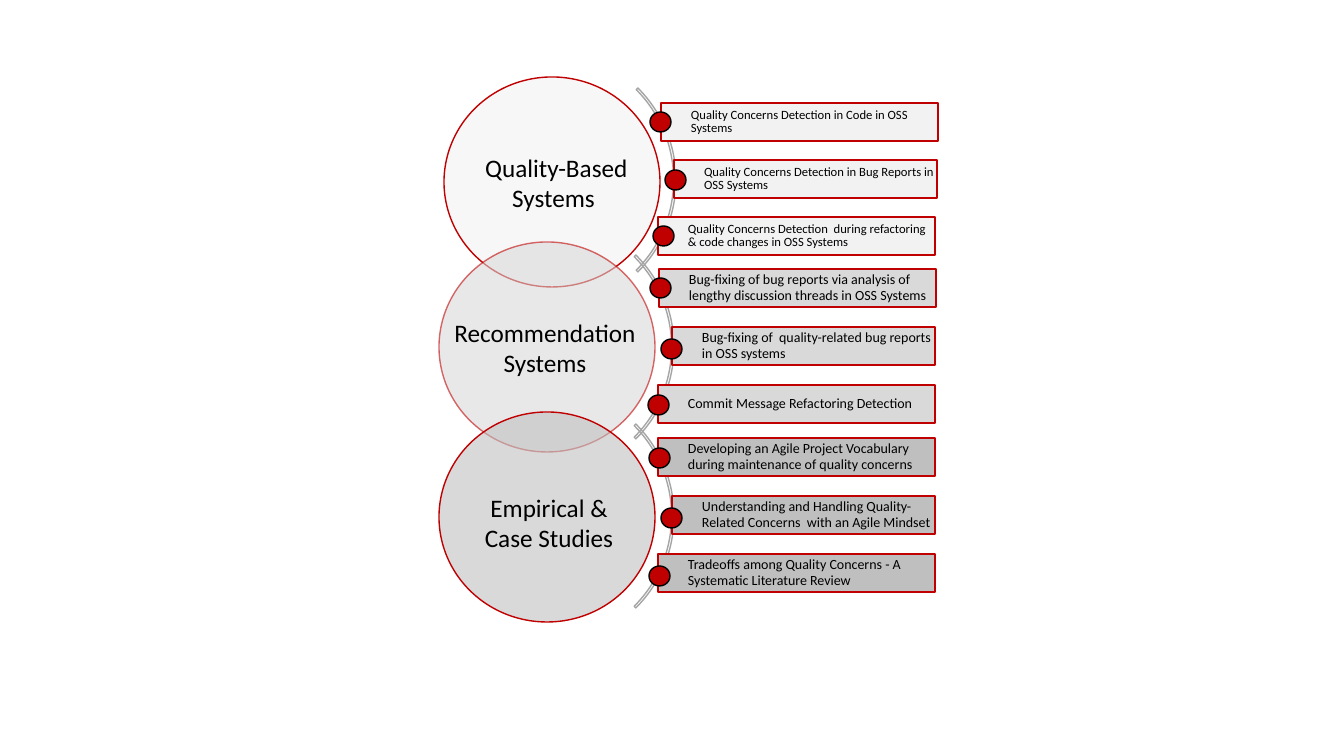
import pptx
import pptx.dml.color
import pptx.enum.shapes
import pptx.enum.text
import pptx.oxml
import pptx.oxml.ns
import pptx.util

SHAPES = pptx.enum.shapes.MSO_SHAPE
ALIGN = pptx.enum.text.PP_ALIGN
ANCHOR = pptx.enum.text.MSO_ANCHOR
EMU_PER_PX = 914400 / 100.8
FONT = "Calibri"
RED = "C00000"
BLACK = "000000"
ARC_GRAY = "A5A5A5"
CIRCLE_SIZE = (216, 210)
ARC_SIZE = 260
BAR_RIGHT = 935
BAR_HEIGHT = 38
DOT_SIZE = (21, 20)

THEMES = [
    {
        "label": [" Quality-Based", "Systems"],
        "label_box": (469, 147, 169, 72),
        "circle": (444, 77), "circle_color": "F2F2F2", "line_opacity": 100,
        "arc": (416, 50),
        "bar_color": "F2F2F2", "bar_top": 103, "bar_step": 57, "font_size": 9,
        "bars": [
            (661, 277, "Quality Concerns Detection in Code in OSS Systems"),
            (674, 263, "Quality Concerns Detection in Bug Reports in OSS Systems"),
            (658, 277, "Quality Concerns Detection  during refactoring & code changes in OSS Systems"),
        ],
        "dots": [(650, 112), (665, 170), (653, 226)],
    },
    {
        "label": ["Recommendation", "Systems"],
        "label_box": (440, 312, 210, 72),
        "circle": (439, 242), "circle_color": "D9D9D9", "line_opacity": 58,
        "arc": (414, 217),
        "bar_color": "D9D9D9", "bar_top": 269, "bar_step": 58, "font_size": 10,
        "bars": [
            (659, 277, "Bug-fixing of bug reports via analysis of lengthy discussion threads in OSS Systems"),
            (672, 263, "Bug-fixing of  quality-related bug reports in OSS systems"),
            (658, 277, "Commit Message Refactoring Detection"),
        ],
        "dots": [(650, 278), (661, 339), (648, 395)],
    },
    {
        "label": ["Empirical &", "Case Studies"],
        "label_box": (474, 487, 150, 72),
        "circle": (439, 412), "circle_color": "BFBFBF", "line_opacity": 100,
        "arc": (414, 386),
        "bar_color": "BFBFBF", "bar_top": 438, "bar_step": 58, "font_size": 10,
        "bars": [
            (658, 277, "Developing an Agile Project Vocabulary during maintenance of quality concerns"),
            (672, 263, "Understanding and Handling Quality-Related Concerns  with an Agile Mindset"),
            (658, 277, "Tradeoffs among Quality Concerns - A Systematic Literature Review"),
        ],
        "dots": [(649, 448), (661, 508), (649, 566)],
    },
]


def px(length):
    return pptx.util.Emu(round(length * EMU_PER_PX))


def color(hex_string):
    return pptx.dml.color.RGBColor.from_string(hex_string)


def set_opacity(fill_parent, percent):
    for fill_color in fill_parent.findall(
        pptx.oxml.ns.qn("a:solidFill") + "/" + pptx.oxml.ns.qn("a:srgbClr")
    ):
        alpha = pptx.oxml.parse_xml(
            f'<a:alpha {pptx.oxml.ns.nsdecls("a")} val="{percent * 1000}"/>'
        )
        fill_color.append(alpha)


def add_outlined_shape(slide, kind, box, fill, line):
    shape = slide.shapes.add_shape(kind, *map(px, box))
    shape.shadow.inherit = False
    if fill:
        shape.fill.solid()
        shape.fill.fore_color.rgb = color(fill)
    else:
        shape.fill.background()
    shape.line.color.rgb = color(line)
    shape.line.width = pptx.util.Pt(1)
    return shape


def format_text(text_frame, size, alignment):
    for paragraph in text_frame.paragraphs:
        paragraph.alignment = alignment
        for run in paragraph.runs:
            run.font.name = FONT
            run.font.size = pptx.util.Pt(size)
            run.font.color.rgb = color(BLACK)


def add_arc(slide, position):
    arc = add_outlined_shape(
        slide, SHAPES.BLOCK_ARC, (*position, ARC_SIZE, ARC_SIZE), None, ARC_GRAY
    )
    for index, value in enumerate((189, 27, 0.009)):
        arc.adjustments[index] = value


def add_bar(slide, box, fill, text, size):
    bar = add_outlined_shape(slide, SHAPES.RECTANGLE, box, fill, RED)
    text_frame = bar.text_frame
    text_frame.word_wrap = True
    text_frame.vertical_anchor = ANCHOR.MIDDLE
    text_frame.margin_left = px(30)
    text_frame.margin_right = text_frame.margin_top = text_frame.margin_bottom = px(3)
    text_frame.text = text
    text_frame.paragraphs[0].line_spacing = 0.9
    format_text(text_frame, size, ALIGN.LEFT)


def add_circle(slide, position, fill, line_opacity):
    circle = add_outlined_shape(
        slide, SHAPES.OVAL, (*position, *CIRCLE_SIZE), fill, RED
    )
    properties = circle.element.spPr
    set_opacity(properties, 58)
    set_opacity(properties.find(pptx.oxml.ns.qn("a:ln")), line_opacity)


def add_label(slide, box, lines):
    text_frame = slide.shapes.add_textbox(*map(px, box)).text_frame
    text_frame.word_wrap = False
    text_frame.text = "\n".join(lines)
    format_text(text_frame, 18, ALIGN.CENTER)


def add_topics(slide, theme):
    add_arc(slide, theme["arc"])
    for index, (left, width, text) in enumerate(theme["bars"]):
        top = theme["bar_top"] + index * theme["bar_step"]
        add_bar(
            slide, (left, top, width, BAR_HEIGHT),
            theme["bar_color"], text, theme["font_size"],
        )


def main():
    presentation = pptx.Presentation()
    presentation.slide_width = px(1344)
    presentation.slide_height = px(756)
    slide = presentation.slides.add_slide(presentation.slide_layouts[6])
    for theme in THEMES:
        add_topics(slide, theme)
    for theme in THEMES:
        for position in theme["dots"]:
            add_outlined_shape(slide, SHAPES.OVAL, (*position, *DOT_SIZE), RED, BLACK)
    for theme in THEMES:
        add_circle(slide, theme["circle"], theme["circle_color"], theme["line_opacity"])
    for theme in THEMES:
        add_label(slide, theme["label_box"], theme["label"])
    presentation.save("out.pptx")


if __name__ == "__main__":
    main()
